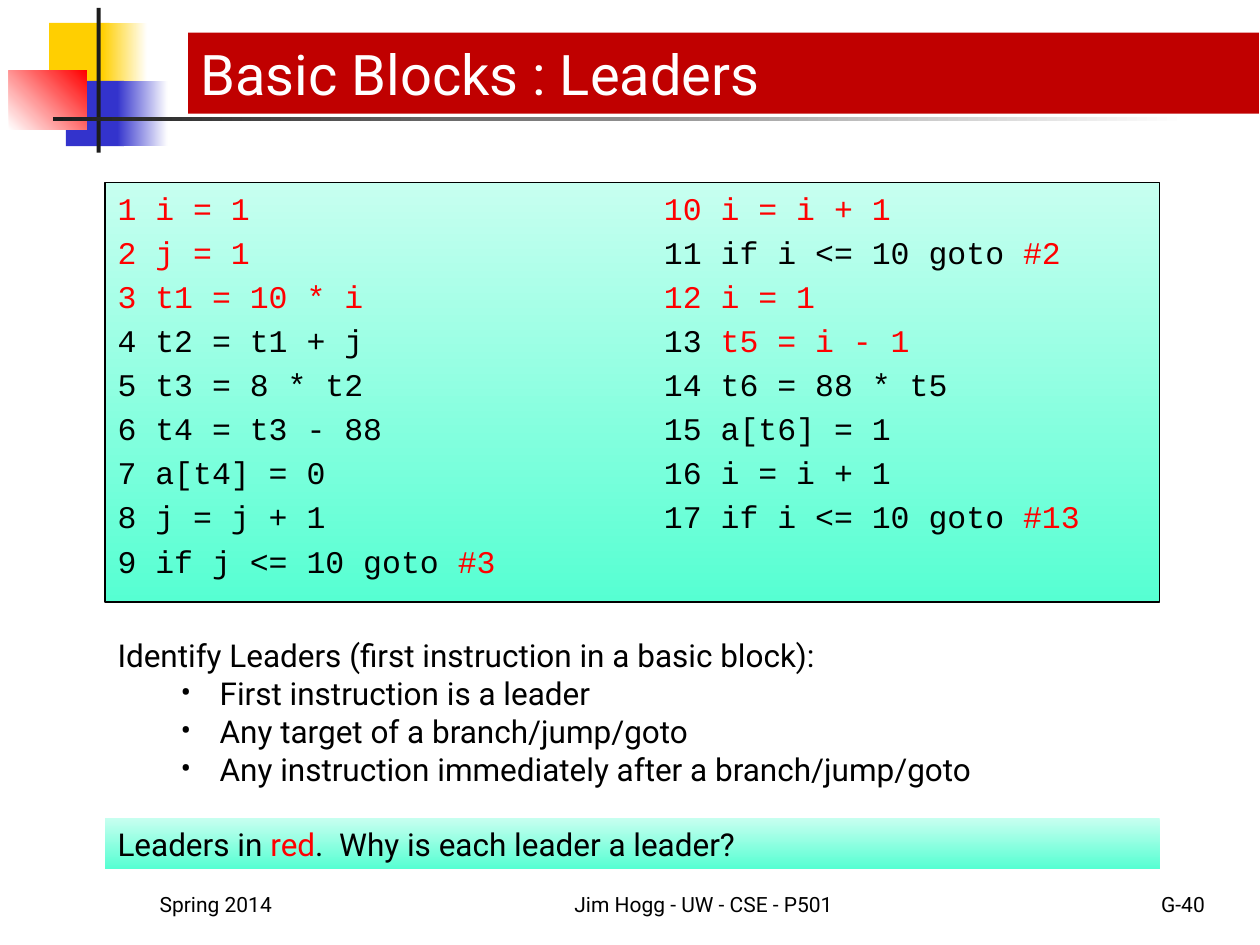
from lxml import etree
from pptx import Presentation
from pptx import util as u
from pptx.dml.color import RGBColor
from pptx.enum import shapes, text
from pptx.oxml import ns

BLACK = RGBColor(0x00, 0x00, 0x00)
WHITE = RGBColor(0xFF, 0xFF, 0xFF)
RED = RGBColor(0xFF, 0x00, 0x00)
BRICK = RGBColor(0xC0, 0x00, 0x00)
GOLD = RGBColor(0xFF, 0xCF, 0x01)
BLUE = RGBColor(0x33, 0x33, 0xCC)
DARK = RGBColor(0x1C, 0x1C, 0x1C)
PALE = RGBColor(0xC7, 0xFF, 0xF0)
MINT = RGBColor(0x56, 0xFF, 0xD2)

LEFT, WIDE = 2.12, 21.26  # shared column of the main content, cm

# A bar switches between the base colour and red
CODE = """|1 i = 1
|2 j = 1
|3 t1 = 10 * i
4 t2 = t1 + j
5 t3 = 8 * t2
6 t4 = t3 - 88
7 a[t4] = 0
8 j = j + 1
9 if j <= 10 goto| #3
|10 i = i + 1
11 if i <= 10 goto| #2
|12 i = 1
13 |t5 = i - 1
14 t6 = 88 * t5
15 a[t6] = 1
16 i = i + 1
17 if i <= 10 goto| #13""".split("\n")

RULES = ["First instruction is a leader",
         "Any target of a branch/jump/goto",
         "Any instruction immediately after a branch/jump/goto"]


def write(par, words, size=18, face="Roboto", color=BLACK, align="LEFT",
          gap=0, bullet=False):
    """Fill a paragraph, with the parts after each odd bar in red."""
    if bullet:
        props = par._p.get_or_add_pPr()
        props.set("marL", str(u.Cm(2.06)))
        props.set("indent", str(u.Cm(-0.79)))
        etree.SubElement(props, ns.qn("a:buFont")).set("typeface", face)
        etree.SubElement(props, ns.qn("a:buChar")).set("char", "•")
    par.alignment = getattr(text.PP_ALIGN, align)
    par.space_before = u.Pt(gap)
    for i, part in enumerate(words.split("|")):
        if part:
            run = par.add_run()
            run.text = part
            run.font.size = u.Pt(size)
            run.font.name = face
            run.font.color.rgb = RED if i % 2 else color


class Deck:
    def __init__(self):
        self.prs = Presentation()
        self.prs.slide_width = u.Cm(25.4)
        self.prs.slide_height = u.Cm(19.05)
        self.slide = self.prs.slides.add_slide(self.prs.slide_layouts[5])

    def paint(self, shape, color, fade=None, turn=0):
        """Plain fill, or a fade to a second colour (turn is anticlockwise)."""
        if fade is None:
            shape.fill.solid()
            shape.fill.fore_color.rgb = color
            return
        shape.fill.gradient()
        shape.fill.gradient_angle = turn
        for stop, tone in zip(shape.fill.gradient_stops, (color, fade)):
            stop.color.rgb = tone

    def frame(self, shape, anchor="TOP"):
        body = shape.text_frame
        body.word_wrap = True
        body.auto_size = text.MSO_AUTO_SIZE.NONE
        body.vertical_anchor = getattr(text.MSO_ANCHOR, anchor)
        return body

    def title(self, words, x, y, w, h):
        head = self.slide.shapes.title
        head.left, head.top, head.width, head.height = map(u.Cm, (x, y, w, h))
        self.paint(head, BRICK)
        body = self.frame(head, "MIDDLE")
        write(body.paragraphs[0], words, size=32, color=WHITE)

    def rect(self, x, y, w, h, color, fade=None, turn=0, line=None):
        box = self.slide.shapes.add_shape(
            shapes.MSO_SHAPE.RECTANGLE, *map(u.Cm, (x, y, w, h)))
        box.shadow.inherit = False
        self.paint(box, color, fade, turn)
        if line is None:
            box.line.fill.background()
        else:
            box.line.color.rgb = line
            box.line.width = u.Pt(0.75)
        return box

    def label(self, x, y, w, h, words, anchor="TOP", **style):
        box = self.slide.shapes.add_textbox(*map(u.Cm, (x, y, w, h)))
        body = self.frame(box, anchor)
        write(body.paragraphs[0], words, **style)
        return body

    def code(self, x, y, w, h, lines):
        box = self.rect(x, y, w, h, PALE, MINT, 270, line=BLACK)
        body = self.frame(box)
        props = body._txBody.bodyPr
        props.set("numCol", "2")
        props.set("spcCol", str(u.Cm(1.27)))
        for i, line in enumerate(lines):
            par = body.add_paragraph() if i else body.paragraphs[0]
            write(par, line, face="Courier New", gap=3.6 if i else 0)


def main():
    deck = Deck()

    # Corner ornament and rules
    deck.rect(0.99, 0.46, 1.22, 1.32, GOLD)
    deck.rect(2.06, 0.46, 0.91, 1.32, GOLD, WHITE)
    deck.rect(1.33, 1.63, 1.17, 1.32, BLUE)
    deck.rect(2.36, 1.63, 1.02, 1.32, BLUE, WHITE)
    deck.rect(0.18, 1.42, 1.57, 1.19, WHITE, RED, 45)
    deck.rect(1.95, 0.16, 0.08, 2.92, DARK)
    deck.rect(1.06, 2.36, 22.86, 0.08, DARK, WHITE)

    # Title and code
    deck.title("Basic Blocks : Leaders", 3.79, 0.66, 21.59, 1.63)
    deck.code(LEFT, 3.68, WIDE, 8.46, CODE)

    # Footer
    for x, w, words, align in ((2.97, 5.28, "Spring 2014", "LEFT"),
                               (10.16, 8.05, "Jim Hogg - UW - CSE - P501", "CENTER"),
                               (19.26, 5.28, "G-40", "RIGHT")):
        deck.label(x, 17.33, w, 1.27, words, "BOTTOM", size=12, align=align)

    # Rules for leaders
    body = deck.label(LEFT, 12.7, WIDE, 3.33,
                      "Identify Leaders (first instruction in a basic block):")
    for rule in RULES:
        write(body.add_paragraph(), rule, bullet=True)

    # Question bar
    bar = deck.rect(LEFT, 16.5, WIDE, 1.02, PALE, MINT, 270)
    write(deck.frame(bar).paragraphs[0],
          "Leaders in |red|.  Why is each leader a leader?")

    deck.prs.save("out.pptx")


if __name__ == "__main__":
    main()
